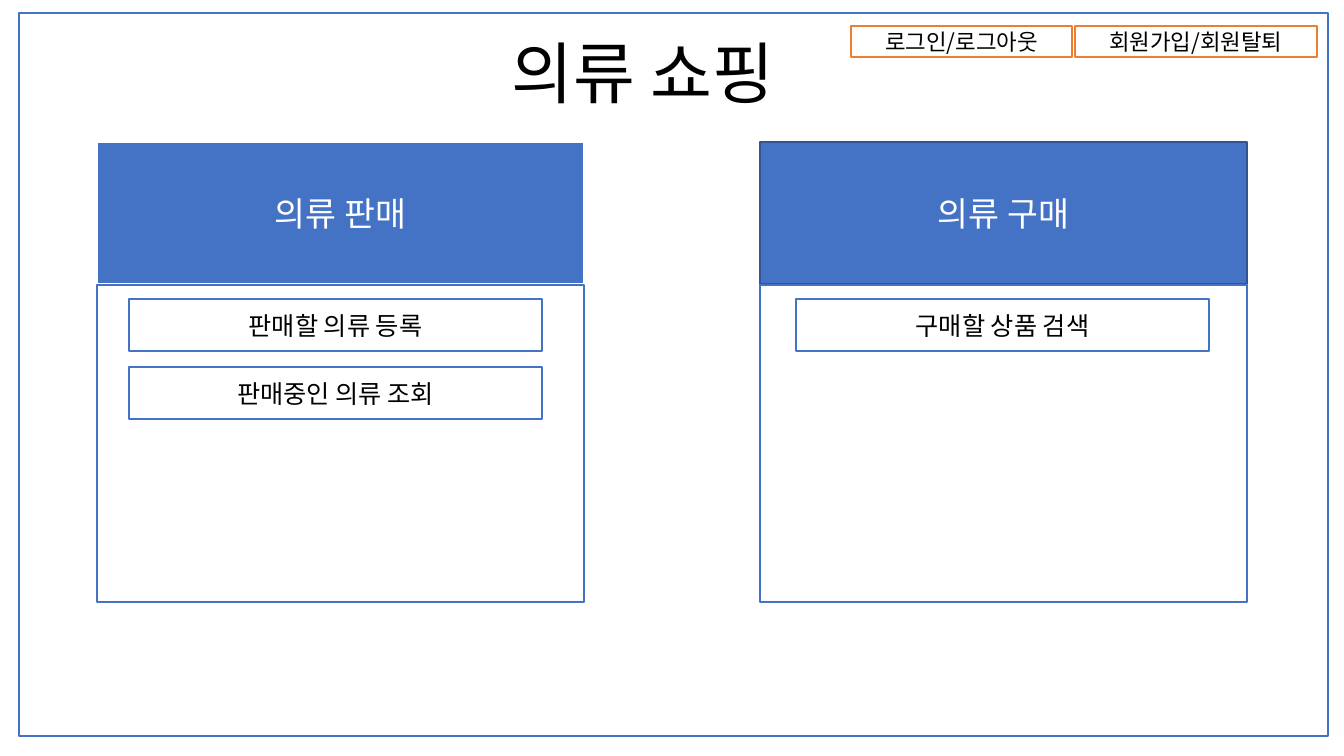
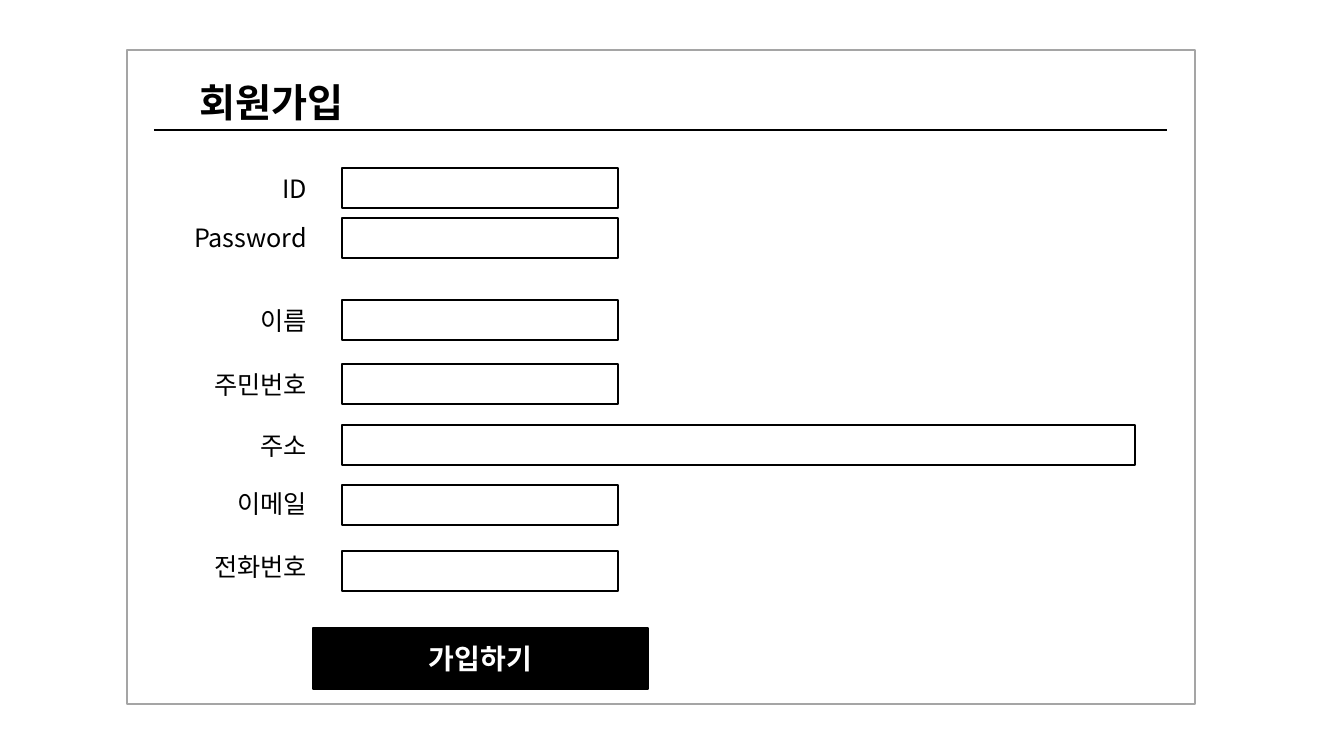
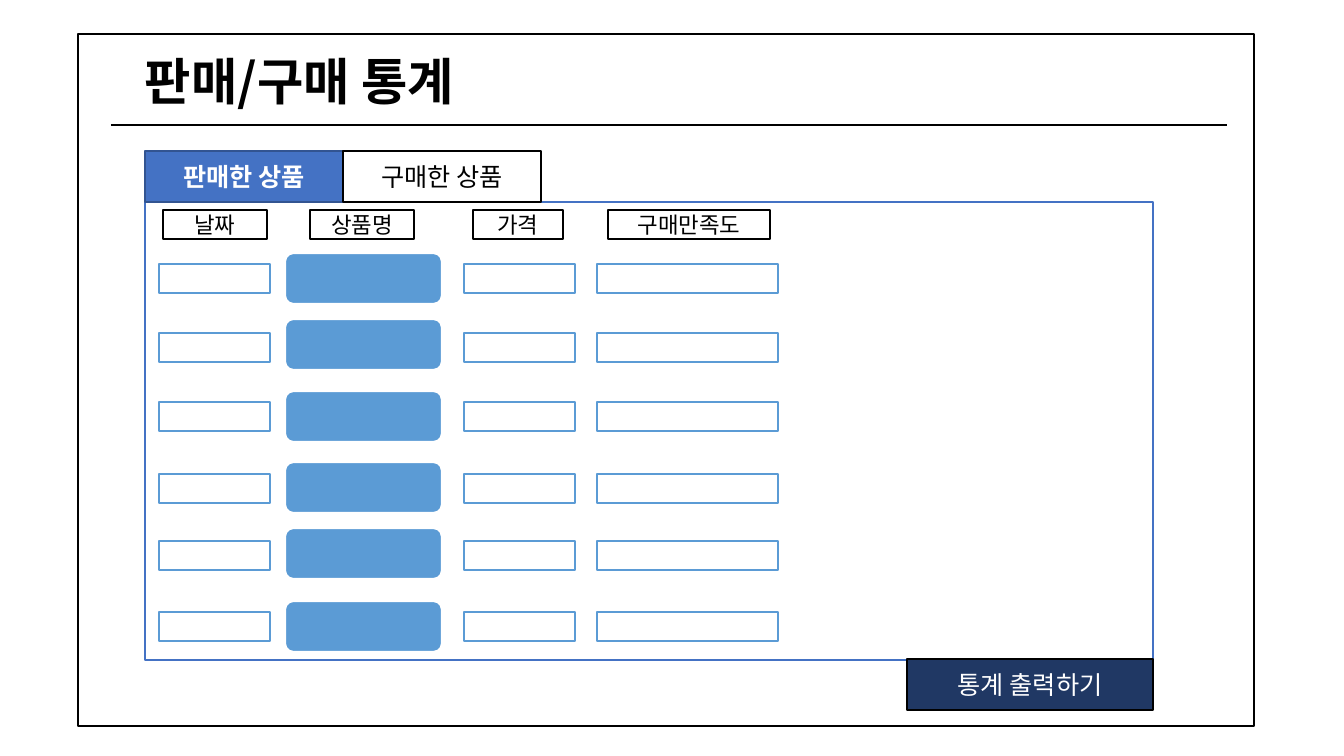
"""Build three wireframe slides for a clothing shop: home, sign-up and sales figures."""
from lxml.etree import SubElement
from pptx import Presentation
from pptx.dml.color import RGBColor
from pptx.enum.shapes import MSO_CONNECTOR, MSO_SHAPE
from pptx.enum.text import MSO_ANCHOR, MSO_AUTO_SIZE, PP_ALIGN
from pptx.oxml.ns import qn
from pptx.util import Pt

SCALE = 914400 / 100.8
FONT = "Noto Sans CJK KR"
WHITE = RGBColor(0xFF, 0xFF, 0xFF)
BLACK = RGBColor(0, 0, 0)
BLUE = RGBColor(0x44, 0x72, 0xC4)
DEEP = RGBColor(0x32, 0x54, 0x91)
NAVY = RGBColor(0x20, 0x38, 0x64)
SKY = RGBColor(0x5B, 0x9B, 0xD5)
ORANGE = RGBColor(0xED, 0x7D, 0x31)
GRAY = RGBColor(0xA5, 0xA5, 0xA5)


def emu(*marks):
    return [round(mark * SCALE) for mark in marks]


def apply(item, values):
    for key, value in values.items():
        setattr(item, key, value)


def write(frame, text, size, color=BLACK, bold=False, align=PP_ALIGN.CENTER):
    part = frame.paragraphs[0]
    part.alignment = align
    run = part.add_run()
    run.text = text
    apply(run.font, {"name": FONT, "size": Pt(size), "bold": bold})
    run.font.color.rgb = color
    SubElement(run._r.get_or_add_rPr(), qn("a:ea")).set("typeface", FONT)


def box(slide, place, line, fill=WHITE, width=1, kind=MSO_SHAPE.RECTANGLE):
    shape = slide.shapes.add_shape(kind, *emu(*place))
    shape.shadow.inherit = False
    shape.fill.solid()
    shape.fill.fore_color.rgb = fill
    shape.line.color.rgb = line
    shape.line.width = Pt(width)
    return shape


def button(slide, place, text, size, line, fill=WHITE, color=BLACK, bold=False, width=1):
    frame = box(slide, place, line, fill, width).text_frame
    apply(frame, {"word_wrap": True, "vertical_anchor": MSO_ANCHOR.MIDDLE})
    write(frame, text, size, color, bold)


def label(slide, place, text, size, bold=False, align=PP_ALIGN.LEFT):
    frame = slide.shapes.add_textbox(*emu(*place)).text_frame
    apply(frame, {"word_wrap": True, "auto_size": MSO_AUTO_SIZE.SHAPE_TO_FIT_TEXT})
    write(frame, text, size, bold=bold, align=align)


def rule(slide, left, right, top):
    line = slide.shapes.add_connector(MSO_CONNECTOR.STRAIGHT, *emu(left, top, right, top))
    line.line.color.rgb = BLACK
    line.line.width = Pt(1.5)
    SubElement(line._element.spPr, qn("a:effectLst"))


def home(slide):
    box(slide, (19, 13, 1309, 723), BLUE)
    label(slide, (418, 26, 450, 92), "의류 쇼핑", 48, align=PP_ALIGN.CENTER)
    for left, wide, text in ((851, 221, "로그인/로그아웃"), (1075, 242, "회원가입/회원탈퇴")):
        button(slide, (left, 26, wide, 31), text, 16, ORANGE)
    cards = (
        (97, 129, "의류 판매", WHITE, 1.5, ("판매할 의류 등록", "판매중인 의류 조회")),
        (760, 796, "의류 구매", DEEP, 1, ("구매할 상품 검색",)),
    )
    for left, inner, head, edge, width, items in cards:
        button(slide, (left, 142, 487, 142), head, 24, edge, BLUE, WHITE, width=width)
        box(slide, (left, 285, 487, 317), BLUE)
        for row, text in enumerate(items):
            button(slide, (inner, 299 + 68 * row, 413, 52), text, 18, BLUE)


def signup(slide):
    box(slide, (127, 50, 1068, 654), GRAY)
    label(slide, (190, 73, 238, 57), "회원가입", 28, bold=True)
    rule(slide, 154, 1167, 130)
    fields = (
        ("ID", 168, 168, 276),
        ("Password", 217, 218, 276),
        ("이름", 300, 300, 276),
        ("주민번호", 364, 364, 276),
        ("주소", 425, 425, 793),
        ("이메일", 483, 485, 276),
        ("전화번호", 546, 551, 276),
    )
    for text, top, edge, wide in fields:
        label(slide, (167, top, 150, 40), text, 18, align=PP_ALIGN.RIGHT)
        box(slide, (342, edge, wide, 40), BLACK)
    button(slide, (313, 628, 335, 61), "가입하기", 20, BLACK, BLACK, WHITE, True)


def sales(slide):
    box(slide, (78, 34, 1176, 692), BLACK)
    label(slide, (135, 45, 398, 72), "판매/구매 통계", 36, bold=True)
    rule(slide, 111, 1227, 125)
    box(slide, (145, 202, 1008, 458), BLUE)
    button(slide, (145, 151, 198, 51), "판매한 상품", 18, DEEP, BLUE, WHITE, True)
    button(slide, (343, 151, 198, 51), "구매한 상품", 18, BLACK)
    button(slide, (907, 659, 246, 51), "통계 출력하기", 18, BLACK, NAVY, WHITE)
    heads = (("날짜", 163, 104), ("상품명", 310, 104), ("가격", 473, 90), ("구매만족도", 608, 162))
    for text, left, wide in heads:
        button(slide, (left, 210, wide, 29), text, 16, BLACK)
    rows = ((264, 253), (333, 319), (402, 391), (474, 462), (541, 528), (612, 601))
    for top, crest in rows:
        box(slide, (285, crest, 157, 51), WHITE, SKY, 1.5, MSO_SHAPE.ROUNDED_RECTANGLE)
        for left, wide in ((159, 111), (464, 111), (597, 181)):
            box(slide, (left, top, wide, 29), SKY)


def main():
    deck = Presentation()
    wide, high = emu(1344, 756)
    apply(deck, {"slide_width": wide, "slide_height": high})
    for draw in (home, signup, sales):
        draw(deck.slides.add_slide(deck.slide_layouts[6]))
    deck.save("out.pptx")


main()
